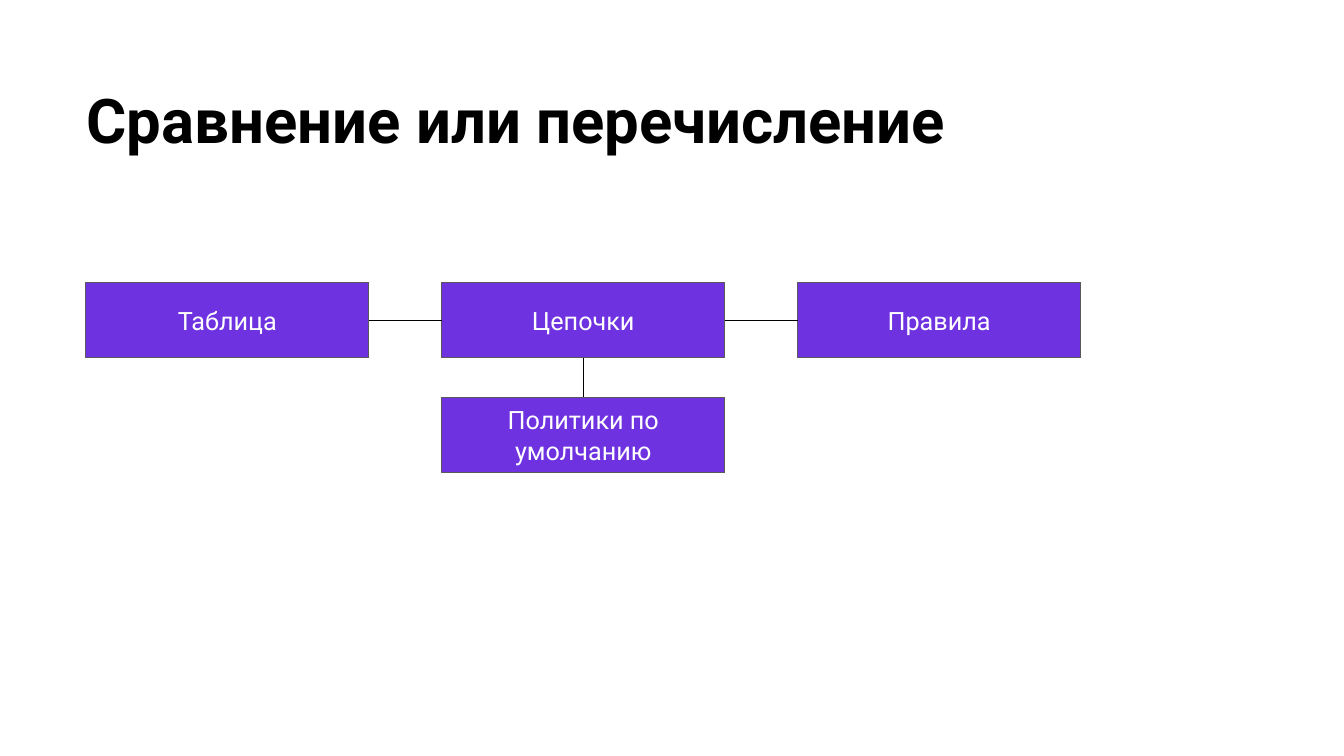
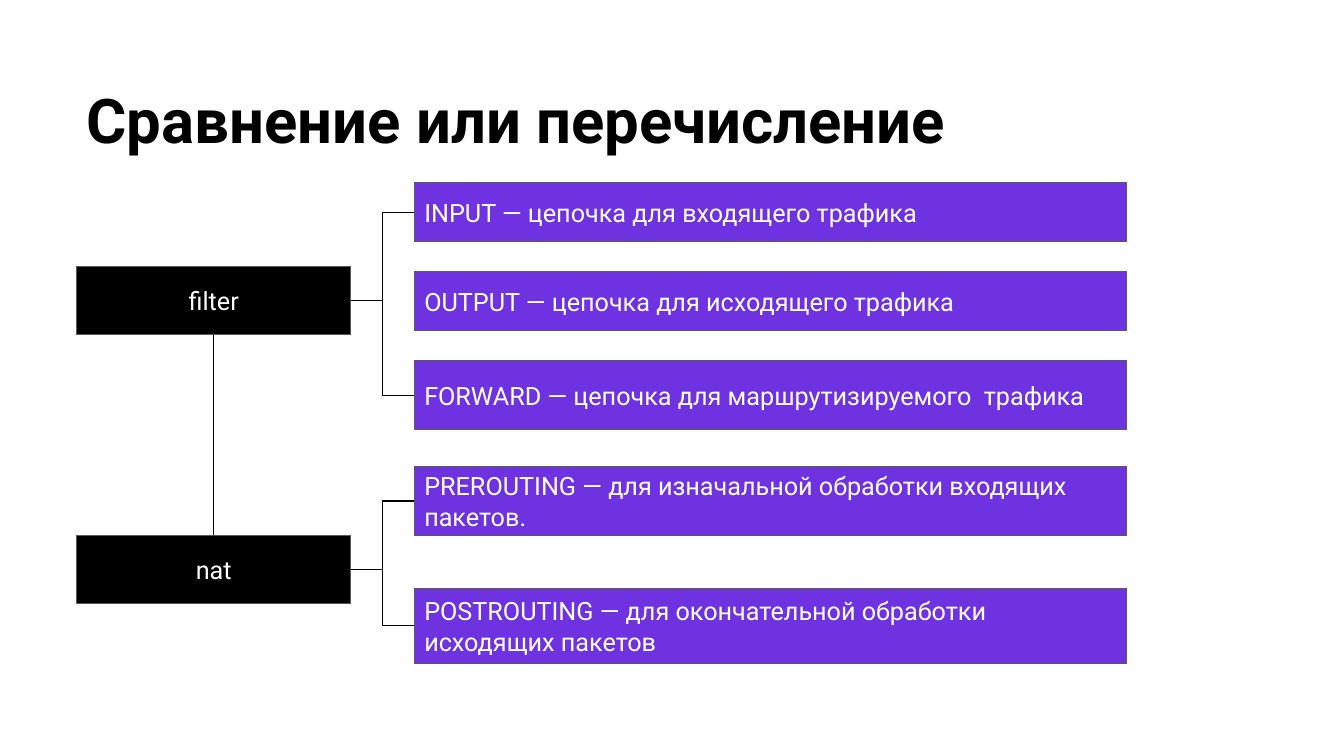
from lxml import etree
from pptx import Presentation
from pptx.dml.color import RGBColor
from pptx.enum.shapes import MSO_CONNECTOR, MSO_SHAPE
from pptx.enum.text import MSO_ANCHOR, PP_ALIGN
from pptx.oxml.ns import qn
from pptx.util import Inches, Pt

RECT = MSO_SHAPE.RECTANGLE
STRAIGHT, ELBOW = MSO_CONNECTOR.STRAIGHT, MSO_CONNECTOR.ELBOW
LEFT, CENTER = PP_ALIGN.LEFT, PP_ALIGN.CENTER
TOP, MIDDLE = MSO_ANCHOR.TOP, MSO_ANCHOR.MIDDLE
SIDE_TOP, SIDE_LEFT, SIDE_BOTTOM, SIDE_RIGHT = range(4)

COLORS = {"purple": "6E32E0", "black": "000000", "white": "FFFFFF", "border": "595959"}
FONT = "Roboto"
TITLE = "Сравнение или перечисление"


def rgb(name):
    return RGBColor.from_string(COLORS[name])


class Deck:
    """Holds the shared style and the slide being built."""

    def __init__(self):
        self.prs = Presentation()
        self.prs.slide_width, self.prs.slide_height = Inches(13.33), Inches(7.5)
        self.s = None

    def add_slide(self, title):
        self.s = self.prs.slides.add_slide(self.prs.slide_layouts[6])
        sp = self.s.shapes.add_textbox(Inches(0.76), Inches(0.76), Inches(11.82), Inches(1.05))
        self.set_text(sp, title, 44, "black", LEFT, TOP, 0.05, bold=True)

    def set_text(self, sp, text, size, color, align, anchor, inset, bold=False):
        """Put one styled paragraph in a shape; inset is the top and bottom margin."""
        tf = sp.text_frame
        tf.word_wrap = True
        tf.vertical_anchor = anchor
        tf.margin_left = tf.margin_right = Inches(0.1)
        tf.margin_top = tf.margin_bottom = Inches(inset)
        p = tf.paragraphs[0]
        p.alignment = align
        r = p.add_run()
        r.text = text
        r.font.name, r.font.size, r.font.bold = FONT, Pt(size), bold
        r.font.color.rgb = rgb(color)

    def box(self, text, x, y, w, h, fill="purple", align=CENTER):
        sp = self.s.shapes.add_shape(RECT, Inches(x), Inches(y), Inches(w), Inches(h))
        sp.shadow.inherit = False
        sp.fill.solid()
        sp.fill.fore_color.rgb = rgb(fill)
        sp.line.color.rgb = rgb("border")
        sp.line.width = Pt(0.75)
        self.set_text(sp, text, 18, "white", align, MIDDLE, 0.1)
        return sp

    def join(self, start, start_side, end, end_side, kind=STRAIGHT):
        """Connect the middles of two box sides."""
        cn = self.s.shapes.add_connector(kind, 0, 0, 0, 0)
        cn.line.color.rgb = rgb("black")
        cn.line.width = Pt(0.75)
        etree.SubElement(cn.element.spPr, qn("a:effectLst"))
        cn.begin_connect(start, start_side)
        cn.end_connect(end, end_side)


def build_structure(deck):
    deck.add_slide(TITLE)
    left, top, width, height, step = 0.85, 2.8, 2.81, 0.75, 3.53
    table, chains, rules = [
        deck.box(text, left + i * step, top, width, height)
        for i, text in enumerate(["Таблица", "Цепочки", "Правила"])
    ]
    policies = deck.box("Политики по умолчанию", left + step, 3.94, width, height)
    deck.join(table, SIDE_RIGHT, chains, SIDE_LEFT)
    deck.join(chains, SIDE_RIGHT, rules, SIDE_LEFT)
    deck.join(chains, SIDE_BOTTOM, policies, SIDE_TOP)


def build_chains(deck):
    deck.add_slide(TITLE)
    # table name, top, chains as (text, top, height, linked)
    groups = [
        ("filter", 2.64, [
            ("INPUT — цепочка для входящего трафика", 1.81, 0.59, True),
            ("OUTPUT — цепочка для исходящего трафика", 2.69, 0.59, False),
            ("FORWARD — цепочка для маршрутизируемого  трафика", 3.58, 0.68, True),
        ]),
        ("nat", 5.31, [
            ("PREROUTING — для изначальной обработки входящих пакетов.", 4.63, 0.68, True),
            ("POSTROUTING — для окончательной обработки исходящих пакетов", 5.84, 0.74, True),
        ]),
    ]
    tables = []
    for name, top, chains in groups:
        table = deck.box(name, 0.76, top, 2.72, 0.68, "black")
        tables.append(table)
        for text, y, height, linked in chains:
            chain = deck.box(text, 4.11, y, 7.06, height, align=LEFT)
            if linked:
                deck.join(table, SIDE_RIGHT, chain, SIDE_LEFT, ELBOW)
    deck.join(tables[0], SIDE_BOTTOM, tables[1], SIDE_TOP)


def main():
    deck = Deck()
    build_structure(deck)
    build_chains(deck)
    deck.prs.save("out.pptx")


if __name__ == "__main__":
    main()
